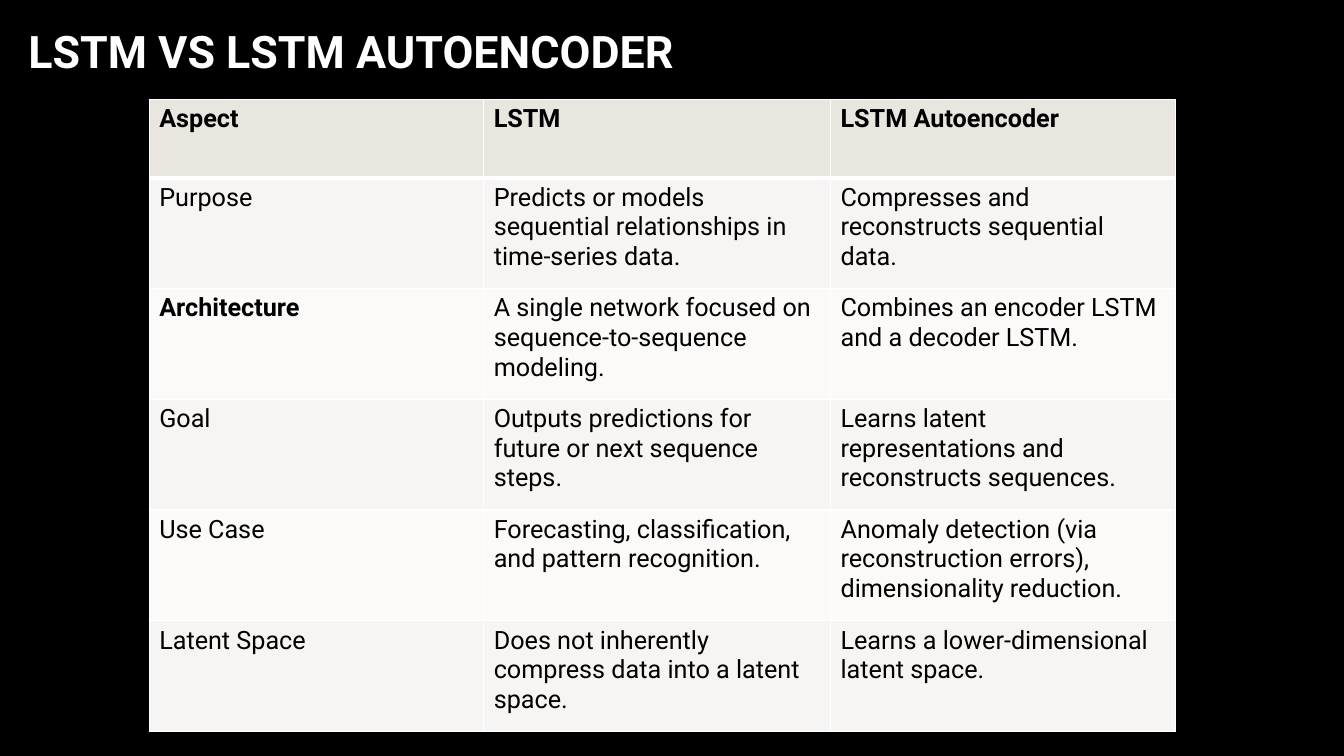
from dataclasses import dataclass

import pptx
import pptx.dml.color
import pptx.enum.text
import pptx.oxml
import pptx.oxml.ns
import pptx.util

FONT = "Roboto"
BLACK, WHITE = "000000", "FFFFFF"
HEADER_FILL = "E9E6DF"
BAND_FILLS = ("F7F5F3", "FBFAF9")
COLUMN_WIDTHS = (8.43, 8.74, 8.69)
HEADER_HEIGHT, ROW_HEIGHT = 1.97, 2.79
THIN, THICK = 1, 3


@dataclass(frozen=True)
class Comparison:
    aspect: str
    lstm: str
    autoencoder: str
    bold_aspect: bool = False
    header: bool = False


COMPARISONS = (
    Comparison("Aspect", "LSTM", "LSTM Autoencoder", header=True),
    Comparison(
        "Purpose",
        "Predicts or models sequential relationships in time-series data.",
        "Compresses and reconstructs sequential data.",
    ),
    Comparison(
        "Architecture",
        "A single network focused on sequence-to-sequence modeling.",
        "Combines an encoder LSTM and a decoder LSTM.",
        bold_aspect=True,
    ),
    Comparison(
        "Goal",
        "Outputs predictions for future or next sequence steps.",
        "Learns latent representations and reconstructs sequences.",
    ),
    Comparison(
        "Use Case",
        "Forecasting, classification, and pattern recognition.",
        "Anomaly detection (via reconstruction errors), dimensionality reduction.",
    ),
    Comparison(
        "Latent Space",
        "Does not inherently compress data into a latent space.",
        "Learns a lower-dimensional latent space.",
    ),
)


def paint(fill, colour: str) -> None:
    fill.solid()
    fill.fore_color.rgb = pptx.dml.color.RGBColor.from_string(colour)


def write(frame, text: str, *, size: float, colour: str, bold: bool = False) -> None:
    para = frame.paragraphs[0]
    para.alignment = pptx.enum.text.PP_ALIGN.LEFT
    span = para.add_run()
    span.text = text
    span.font.name = FONT
    span.font.size = pptx.util.Pt(size)
    span.font.bold = bold
    paint(span.font.fill, colour)


def set_borders(cell, top: float, bottom: float) -> None:
    properties = cell._tc.get_or_add_tcPr()
    widths = {"lnL": THIN, "lnR": THIN, "lnT": top, "lnB": bottom}
    for position, (side, width) in enumerate(widths.items()):
        border = pptx.oxml.parse_xml(
            f'<a:{side} {pptx.oxml.ns.nsdecls("a")} w="{pptx.util.Pt(width)}">'
            f'<a:solidFill><a:srgbClr val="{WHITE}"/></a:solidFill></a:{side}>'
        )
        properties.insert(position, border)


def add_title(page) -> None:
    box = page.shapes.title
    box.left, box.top = pptx.util.Cm(0.46), pptx.util.Cm(0.48)
    box.width, box.height = pptx.util.Cm(16.89), pptx.util.Cm(1.63)
    box.text_frame.word_wrap = False
    box.text_frame.vertical_anchor = pptx.enum.text.MSO_ANCHOR.TOP
    write(box.text_frame, "LSTM VS LSTM AUTOENCODER", size=32, colour=WHITE, bold=True)


def add_comparison_table(page) -> None:
    heights = [HEADER_HEIGHT if entry.header else ROW_HEIGHT for entry in COMPARISONS]
    table = page.shapes.add_table(
        len(heights),
        len(COLUMN_WIDTHS),
        pptx.util.Cm(3.76),
        pptx.util.Cm(2.51),
        pptx.util.Cm(sum(COLUMN_WIDTHS)),
        pptx.util.Cm(sum(heights)),
    ).table
    for column, width in zip(table.columns, COLUMN_WIDTHS):
        column.width = pptx.util.Cm(width)
    for index, (entry, height) in enumerate(zip(COMPARISONS, heights)):
        table.rows[index].height = pptx.util.Cm(height)
        row_fill = HEADER_FILL if entry.header else BAND_FILLS[(index - 1) % 2]
        texts = (entry.aspect, entry.lstm, entry.autoencoder)
        for position, text in enumerate(texts):
            cell = table.cell(index, position)
            bold = entry.header or (position == 0 and entry.bold_aspect)
            write(cell.text_frame, text, size=18, colour=BLACK, bold=bold)
            paint(cell.fill, row_fill)
            set_borders(
                cell,
                top=THICK if index == 1 else THIN,
                bottom=THICK if entry.header else THIN,
            )


def main() -> None:
    deck = pptx.Presentation()
    deck.slide_width, deck.slide_height = pptx.util.Cm(33.87), pptx.util.Cm(19.05)
    page = deck.slides.add_slide(deck.slide_layouts.get_by_name("Title Only"))
    paint(page.background.fill, BLACK)
    add_title(page)
    add_comparison_table(page)
    deck.save("out.pptx")


if __name__ == "__main__":
    main()
